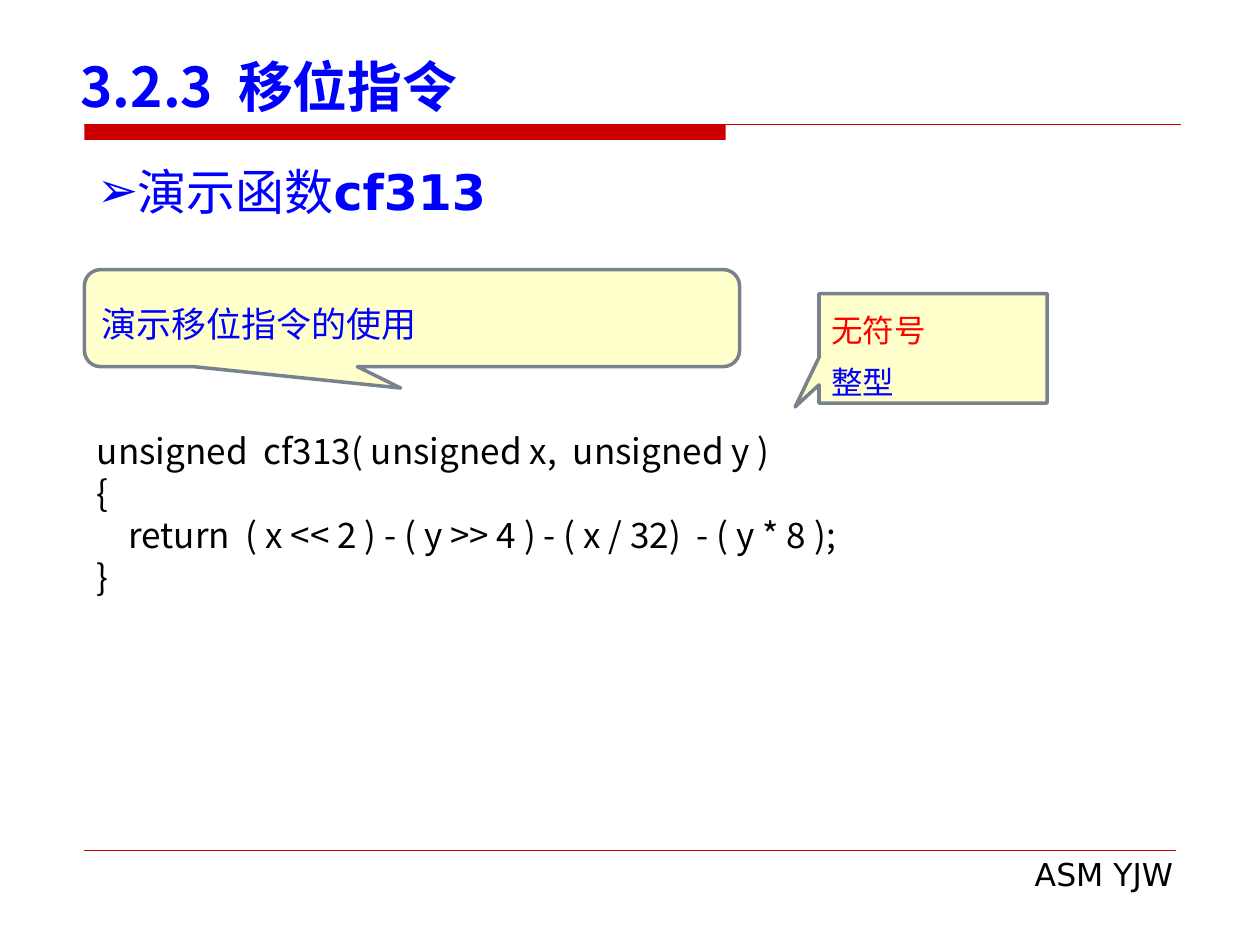
from lxml import etree
from pptx import Presentation
from pptx.dml.color import RGBColor
from pptx.enum.shapes import MSO_CONNECTOR, MSO_SHAPE
from pptx.enum.text import MSO_ANCHOR, PP_ALIGN
from pptx.oxml.ns import qn
from pptx.util import Inches, Pt

TOP, MIDDLE, BOTTOM = MSO_ANCHOR.TOP, MSO_ANCHOR.MIDDLE, MSO_ANCHOR.BOTTOM
LEFT, RIGHT, JUSTIFY = PP_ALIGN.LEFT, PP_ALIGN.RIGHT, PP_ALIGN.JUSTIFY
ROUND_CALLOUT = MSO_SHAPE.ROUNDED_RECTANGULAR_CALLOUT
RECT_CALLOUT = MSO_SHAPE.RECTANGULAR_CALLOUT

BLUE = RGBColor(0x00, 0x00, 0xFF)
RED = RGBColor(0xFF, 0x00, 0x00)
BLACK = RGBColor(0x00, 0x00, 0x00)
RULE_RED = RGBColor(0xCC, 0x00, 0x00)
CREAM = RGBColor(0xFF, 0xFF, 0xCC)
GREY = RGBColor(0x77, 0x82, 0x8D)
CJK, SANS = "Noto Sans CJK SC", "DejaVu Sans"

# Content: each paragraph is a list of runs (text, size, font, colour, bold)
TITLE = [[("3.2.3  移位指令", 31.3, CJK, BLUE, True)]]
TOPIC = [[("演示函数", 28, CJK, BLUE, False), ("cf313", 28, SANS, BLUE, True)]]
CODE = [[(line, 20, CJK, BLACK, False)] for line in (
    "unsigned  cf313( unsigned x,  unsigned y )",
    "{",
    "    return  ( x << 2 ) - ( y >> 4 ) - ( x / 32)  - ( y * 8 );",
    "}",
)]
FOOTER = [[("ASM YJW", 18, SANS, BLACK, False)]]
# Callouts: preset, box, tip of the tail, paragraphs
CALLOUTS = [
    (RECT_CALLOUT, (6.5, 2.33, 1.81, 0.87), (6.31, 3.23),
     [[("无符号", 18, CJK, RED, False)], [("整型", 18, CJK, BLUE, False)]]),
    (ROUND_CALLOUT, (0.67, 2.14, 5.2, 0.77), (3.18, 3.08),
     [[("演示移位指令的使用", 20, CJK, BLUE, False)]]),
]
# Rules: left, right, y, width in points
RULES = [(0.67, 9.37, 0.99, 0.75), (0.67, 9.33, 6.75, 0.25)]


def write(sp, paragraphs, anchor=TOP, align=LEFT, spacing=None, inset=(0.05, 0.05)):
    tf = sp.text_frame
    tf.word_wrap = True
    tf.vertical_anchor = anchor
    tf.margin_left = tf.margin_right = Inches(inset[0])
    tf.margin_top = tf.margin_bottom = Inches(inset[1])
    for i, runs in enumerate(paragraphs):
        p = tf.paragraphs[0] if i == 0 else tf.add_paragraph()
        p.alignment = align
        p.space_before = Pt(0)
        p.line_spacing = spacing or 1.0
        for text, size, font, color, bold in runs:
            r = p.add_run()
            r.text = text
            r.font.size, r.font.bold, r.font.name = Pt(size), bold, font
            r.font.color.rgb = color
            ea = etree.SubElement(r._r.get_or_add_rPr(), qn("a:ea"))
            ea.set("typeface", font)


def place(sp, *box):
    sp.left, sp.top, sp.width, sp.height = map(Inches, box)
    return sp


def add_text(s, *box):
    return s.shapes.add_textbox(*map(Inches, box))


def add_rule(s, left, right, y, width):
    line = s.shapes.add_connector(
        MSO_CONNECTOR.STRAIGHT, Inches(left), Inches(y), Inches(right), Inches(y))
    line.line.color.rgb = RULE_RED
    line.line.width = Pt(width)
    etree.SubElement(line._element.spPr, qn("a:effectLst"))


def add_callout(s, preset, box, tip, paragraphs):
    x, y, w, h = box
    sp = s.shapes.add_shape(preset, *map(Inches, box))
    # The tail is given as an offset from the centre, in box widths and heights
    sp.adjustments[0] = (tip[0] - x) / w - 0.5
    sp.adjustments[1] = (tip[1] - y) / h - 0.5
    sp.shadow.inherit = False
    sp.fill.solid()
    sp.fill.fore_color.rgb = CREAM
    sp.line.color.rgb = GREY
    sp.line.width = Pt(2)
    write(sp, paragraphs, MIDDLE, spacing=Pt(30), inset=(0.1, 0))


def add_bullet(p, char):
    pPr = p._p.get_or_add_pPr()
    pPr.set("marL", "0")
    pPr.set("indent", "0")
    etree.SubElement(pPr, qn("a:buChar")).set("char", char)


prs = Presentation()
prs.slide_width, prs.slide_height = Inches(10), Inches(7.5)
s = prs.slides.add_slide(prs.slide_layouts[1])

# Red bar and rules
bar = s.shapes.add_shape(MSO_SHAPE.RECTANGLE, *map(Inches, (0.67, 0.99, 5.09, 0.12)))
bar.shadow.inherit = False
bar.fill.solid()
bar.fill.fore_color.rgb = RULE_RED
bar.line.fill.background()
for rule in RULES:
    add_rule(s, *rule)

# Title and topic
write(place(s.shapes.title, 0.59, 0.28, 9.06, 0.71), TITLE, BOTTOM)
topic = place(s.placeholders[1], 0.72, 1.23, 8.56, 0.66)
write(topic, TOPIC, align=JUSTIFY)
add_bullet(topic.text_frame.paragraphs[0], "➢")

# Code, callouts and footer
write(add_text(s, 0.72, 3.36, 8.96, 1.43), CODE)
for callout in CALLOUTS:
    add_callout(s, *callout)
write(add_text(s, 3.87, 6.74, 5.49, 0.41), FOOTER, align=RIGHT)

prs.save("out.pptx")
